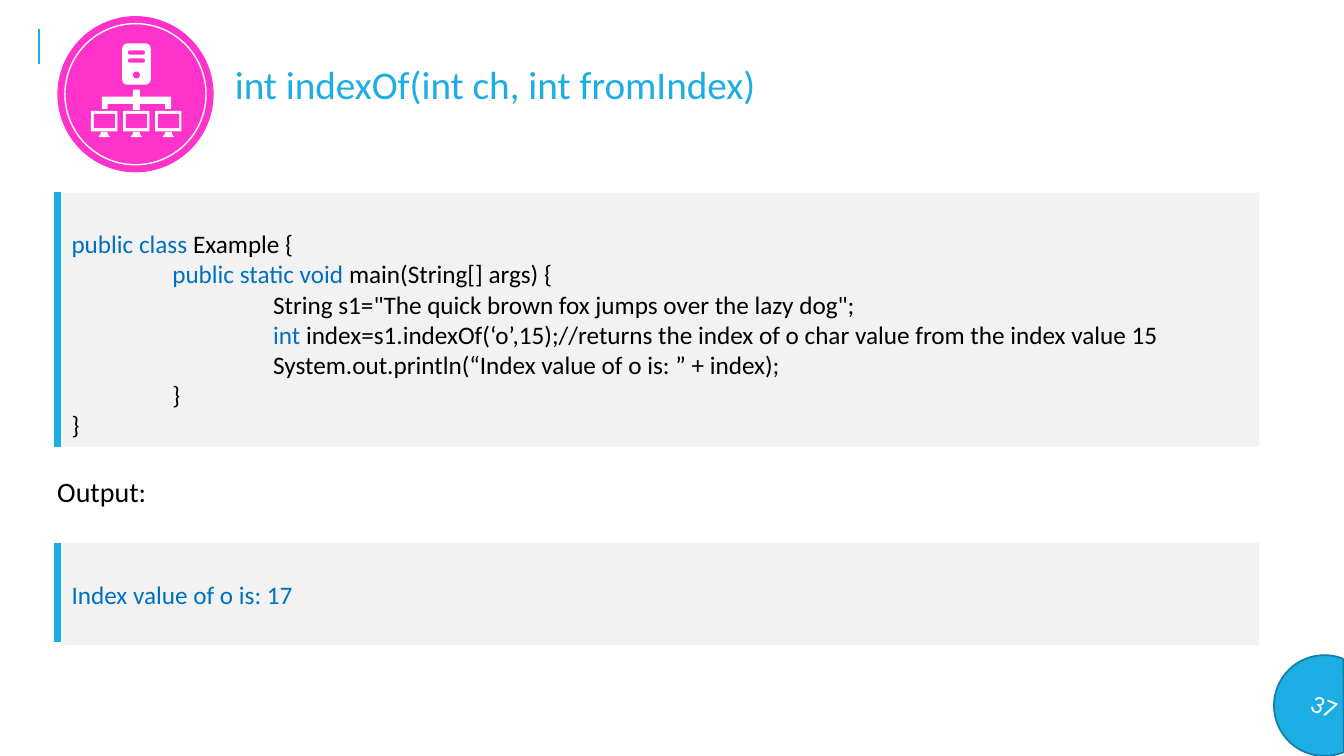
from lxml.etree import SubElement
from pptx import Presentation
from pptx.dml.color import RGBColor
from pptx.enum.shapes import MSO_CONNECTOR, MSO_SHAPE
from pptx.enum.text import MSO_ANCHOR, MSO_AUTO_SIZE, PP_ALIGN
from pptx.oxml.ns import qn
from pptx.util import Pt

COLORS = {
    "accent": "1CADE4", "accent_dark": "147EA6", "pink": "FF33CC",
    "white": "FFFFFF", "panel": "F2F2F2", "keyword": "0070C0", "black": "000000",
}


def style(s, fill, line=None, width=1):
    s.shadow.inherit = False
    s.fill.solid()
    s.fill.fore_color.rgb = RGBColor.from_string(COLORS[fill])
    if line:
        s.line.color.rgb = RGBColor.from_string(COLORS[line])
        s.line.width = Pt(width)
    else:
        s.line.fill.background()
    return s


def write(p, text, size=18, color="black", align=PP_ALIGN.LEFT):
    """Append a formatted run to paragraph p."""
    p.alignment = align
    r = p.add_run()
    r.text = text
    r.font.name = "Calibri"
    r.font.size = Pt(size)
    r.font.color.rgb = RGBColor.from_string(COLORS[color])


prs = Presentation()
prs.slide_width, prs.slide_height = Pt(960), Pt(540)
slide = prs.slides.add_slide(prs.slide_layouts[5])
shapes = slide.shapes

# Title
title = shapes.title
title.left, title.top, title.width, title.height = Pt(160.5), Pt(39.6), Pt(734.4), Pt(41)
tf = title.text_frame
tf.auto_size = MSO_AUTO_SIZE.NONE
tf.vertical_anchor = MSO_ANCHOR.TOP
write(tf.paragraphs[0], "int indexOf(int ch, int fromIndex)", size=28, color="accent")

# Accent rules: x, top, bottom, width
for x, top, bottom, width in [(28, 21, 46, 1.5), (41, 137.5, 319.5, 4.5), (41, 388, 458.6, 4.5)]:
    rule = shapes.add_connector(MSO_CONNECTOR.STRAIGHT, Pt(x), Pt(top), Pt(x), Pt(bottom))
    rule.line.color.rgb = RGBColor.from_string(COLORS["accent"])
    rule.line.width = Pt(width)
    SubElement(rule._element.spPr, qn("a:effectLst"))

# Page number
badge = shapes.add_shape(MSO_SHAPE.CHORD, Pt(910), Pt(468), Pt(72), Pt(72))
badge.adjustments[0], badge.adjustments[1] = 27, 161.865
badge.rotation = 22.2
style(badge, "accent", line="accent_dark", width=1.25)
badge.text_frame.vertical_anchor = MSO_ANCHOR.MIDDLE
write(badge.text_frame.paragraphs[0], "37", color="white", align=PP_ALIGN.CENTER)

# Network icon: disc, ring, server with slots and button
OVAL, RECT, ROUND = MSO_SHAPE.OVAL, MSO_SHAPE.RECTANGLE, MSO_SHAPE.ROUNDED_RECTANGLE
icon_parts = [
    (OVAL, (41, 11.5, 111.6, 111.6), "pink", None),
    (OVAL, (46.4, 16.9, 100.8, 100.8), "pink", "white"),
    (ROUND, (87.3, 31, 20.4, 29.5), "white", None),
    (ROUND, (91.4, 36, 12.2, 3), "pink", None),
    (ROUND, (91.4, 41.8, 12.2, 3), "pink", None),
    (OVAL, (95, 51.1, 5, 5), "pink", None),
]
outlines = []

# Cables, mirrored about the icon's centre
half = [(2.5, 64.1), (2.5, 69.1), (24.8, 69.1), (24.8, 77.8),
        (20.5, 77.8), (20.5, 74.2), (2.5, 74.2), (2.5, 78.5)]
center = 97.5
outlines.append([(center + dx, y) for dx, y in half]
                + [(center - dx, y) for dx, y in reversed(half)])

# Three computers
for i in range(3):
    x = 65 + 22.9 * i
    icon_parts.append((RECT, (x, 79.2, 18.8, 14.6), "white", None))
    icon_parts.append((RECT, (x + 2.1, 81.4, 15, 10.1), "pink", None))
    outlines.append([(x + 7, 94.3), (x + 12, 94.3), (x + 12, 95.8),
                     (x + 13.7, 97.9), (x + 5.3, 97.9), (x + 7, 95.8)])

for kind, box, fill, line in icon_parts:
    part = style(shapes.add_shape(kind, *map(Pt, box)), fill, line)
    if kind == ROUND:
        part.adjustments[0] = 0.18 if fill == "white" else 0.5
for outline in outlines:
    points = [(Pt(x), Pt(y)) for x, y in outline]
    fb = shapes.build_freeform(*points[0], scale=1.0)
    fb.add_line_segments(points[1:], close=True)
    style(fb.convert_to_shape(), "white")

# Code and output panels: each line is an indent level and its coloured parts
code = [
    (0, [("public class ", "keyword"), ("Example {", "black")]),
    (1, [("public static void ", "keyword"), ("main(String[] args) {", "black")]),
    (2, [('String s1="The quick brown fox jumps over the lazy dog";', "black")]),
    (2, [("int", "keyword"),
         (" index=s1.indexOf(‘o’,15);//returns the index of o char value"
          " from the index value 15", "black")]),
    (2, [("System.out.println(“Index value of o is: ” + index);", "black")]),
    (1, [("}", "black")]),
    (0, [("}", "black")]),
]
output = [(0, [("Index value of o is: 17", "keyword")])]

for top, height, lines in [(137.5, 181.5, code), (388, 72.7, output)]:
    panel = style(shapes.add_shape(RECT, Pt(44), Pt(top), Pt(855.4), Pt(height)), "panel")
    tf = panel.text_frame
    tf.word_wrap = True
    tf.vertical_anchor = MSO_ANCHOR.TOP
    tf.margin_top = Pt(25.6)
    for i, (level, parts) in enumerate(lines):
        p = tf.add_paragraph() if i else tf.paragraphs[0]
        p._p.get_or_add_pPr().set("marL", str(Pt(72 * level)))
        for text, color in parts:
            write(p, text, color=color)

# Output label
label = shapes.add_textbox(Pt(33.8), Pt(335.5), Pt(78.5), Pt(31.5))
label.text_frame.word_wrap = True
write(label.text_frame.paragraphs[0], "Output:", size=20)

prs.save("out.pptx")
